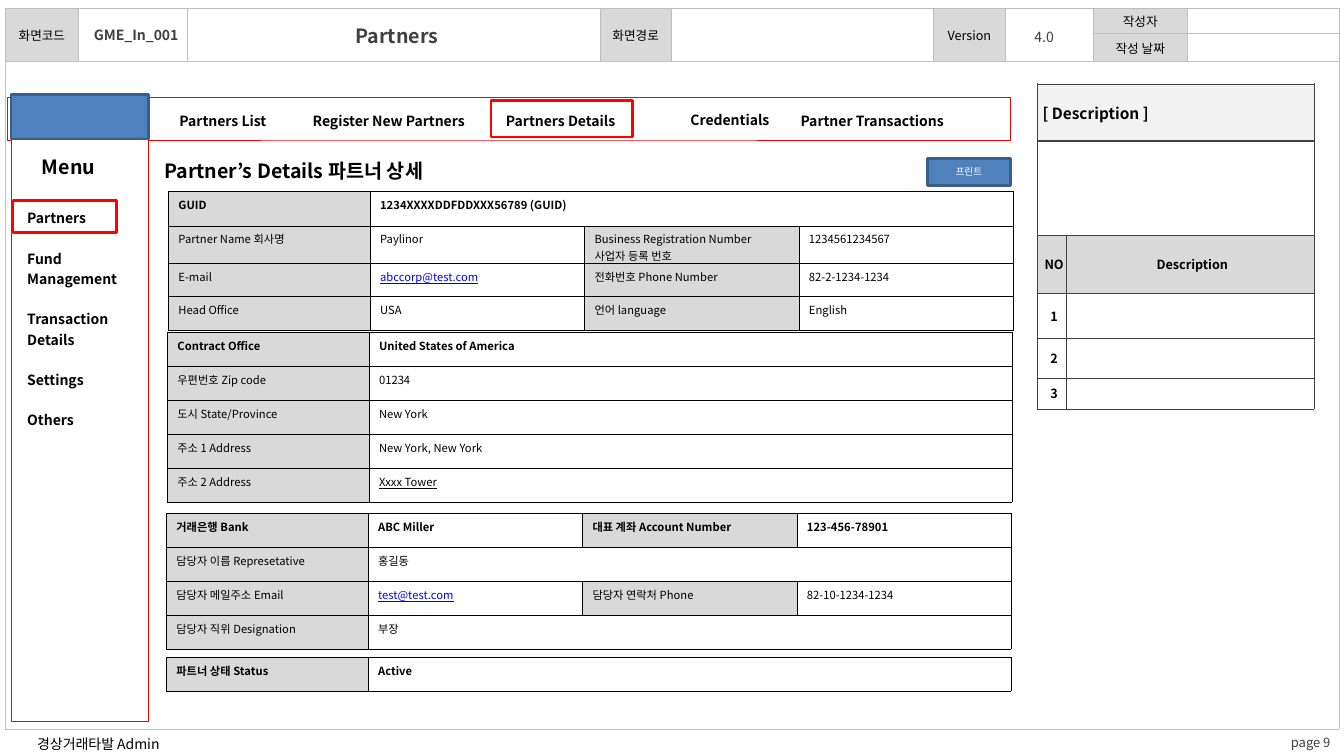
from dataclasses import dataclass, field
from typing import Any, Optional

from lxml import etree
from pptx import Presentation
from pptx.dml.color import RGBColor
from pptx.enum.shapes import MSO_SHAPE
from pptx.enum.text import MSO_ANCHOR, PP_ALIGN
from pptx.oxml.ns import qn
from pptx.util import Inches, Pt

RECT = MSO_SHAPE.RECTANGLE
TOP, MID = MSO_ANCHOR.TOP, MSO_ANCHOR.MIDDLE
LEFT, CENTER = PP_ALIGN.LEFT, PP_ALIGN.CENTER
UNIT = Inches(0.1)  # one grid step: the slide is 133.3 columns by 75 rows
Box = tuple[float, float, float, float]


@dataclass(frozen=True)
class Theme:
    font: str = "Noto Sans CJK KR"
    black: str = "000000"
    dark: str = "404040"
    white: str = "FFFFFF"
    gray: str = "D9D9D9"
    pale: str = "F2F2F2"
    rule: str = "BFBFBF"
    red: str = "FF0000"
    blue: str = "4F81BD"
    navy: str = "3A5F8C"
    link: str = "0000FF"
    tiny: float = 7
    small: float = 8
    label: float = 9
    page: float = 9.3
    body: float = 10
    head: float = 11
    title: float = 14
    thin: float = 0.25
    edge: float = 1
    thick: float = 2


T = Theme()
PAD: Box = (1, 0.5, 1, 0.5)
TIGHT: Box = (0.1, 0.1, 0.1, 0)
SIDE: Box = (0.5, 0, 0, 0)
FLUSH: Box = (0, 0.5, 1, 0.5)
DETAIL: Box = (1, 0.5, 1, 0)


@dataclass
class Cell:
    text: str = ""
    fill: Optional[str] = None
    span: tuple[int, int] = (1, 1)
    pad: Box = PAD
    anchor: Any = TOP
    style: dict[str, Any] = field(default_factory=dict)


@dataclass
class Grid:
    at: tuple[float, float]
    cols: list[float]
    rows: list[float]
    cells: list[list[Optional[Cell]]]
    line: Optional[str] = None
    heavy: tuple[int, ...] = ()  # row edges drawn with the wider line


@dataclass
class Panel:
    box: Box
    fill: Optional[str] = None
    line: str = T.red
    width: float = T.thick
    text: str = ""


@dataclass
class Label:
    box: Box
    text: str
    style: dict[str, Any]
    pad: Box = PAD
    anchor: Any = TOP
    wrap: bool = True


def grid(*steps: float) -> list[int]:
    return [round(step * UNIT) for step in steps]


def write(frame: Any, text: str, *, size: float = T.small, color: str = T.black, bold: bool = False,
          under: bool = False, align: Any = LEFT, gap: float = 0) -> None:
    """Fill a frame: a newline starts a paragraph, a vertical tab a line."""
    for i, part in enumerate(text.split("\n")):
        para = frame.add_paragraph() if i else frame.paragraphs[0]
        para.alignment = align
        if i and gap:
            para.space_before = Pt(gap)
        if not part:
            etree.SubElement(para._p, qn("a:endParaRPr"), sz=str(int(size * 100)))
            continue
        for j, row in enumerate(part.split("\v")):
            if j:
                para.add_line_break()
            run = para.add_run()
            run.text = row
            font = run.font
            font.size, font.bold, font.underline = Pt(size), bold, under
            font.color.rgb = RGBColor.from_string(color)
            font.name = T.font
            etree.SubElement(run._r.get_or_add_rPr(), qn("a:ea"), typeface=T.font)


def paint(fill: Any, color: Optional[str]) -> None:
    if color:
        fill.solid()
        fill.fore_color.rgb = RGBColor.from_string(color)
    else:
        fill.background()


def border(cell: Any, color: Optional[str], top: float, base: float) -> None:
    props = cell._tc.get_or_add_tcPr()
    for i, (side, width) in enumerate(zip("LRTB", (T.thin, T.thin, top, base))):
        line = etree.Element(qn(f"a:ln{side}"), w=str(int(Pt(width))))
        if color:
            solid = etree.SubElement(line, qn("a:solidFill"))
            etree.SubElement(solid, qn("a:srgbClr"), val=color)
        else:
            etree.SubElement(line, qn("a:noFill"))
        props.insert(i, line)


def draw_grid(slide: Any, item: Grid) -> None:
    box = grid(*item.at, sum(item.cols), sum(item.rows))
    table = slide.shapes.add_table(len(item.rows), len(item.cols), *box).table
    table.first_row = table.horz_banding = False
    for col, size in zip(table.columns, grid(*item.cols)):
        col.width = size
    for row, size in zip(table.rows, grid(*item.rows)):
        row.height = size
    for r, row in enumerate(item.cells):
        top, base = (T.edge if n in item.heavy else T.thin for n in (r, r + 1))
        for c, data in enumerate(row):
            cell = table.cell(r, c)
            paint(cell.fill, data.fill if data else None)
            border(cell, item.line, top, base)
            if data is None:
                continue
            if data.span != (1, 1):
                cell.merge(table.cell(r + data.span[0] - 1, c + data.span[1] - 1))
            cell.margin_left, cell.margin_top, cell.margin_right, cell.margin_bottom = grid(*data.pad)
            cell.vertical_anchor = data.anchor
            write(cell.text_frame, data.text, **data.style)


def draw_panel(slide: Any, item: Panel) -> None:
    shape = slide.shapes.add_shape(RECT, *grid(*item.box))
    shape.shadow.inherit = False
    paint(shape.fill, item.fill)
    paint(shape.line.fill, item.line)
    shape.line.width = Pt(item.width)
    if item.text:
        shape.text_frame.vertical_anchor = MID
        write(shape.text_frame, item.text, size=T.tiny, color=T.white, align=CENTER)


def draw_label(slide: Any, item: Label) -> None:
    frame = slide.shapes.add_textbox(*grid(*item.box)).text_frame
    frame.word_wrap, frame.vertical_anchor = item.wrap, item.anchor
    frame.margin_left, frame.margin_top, frame.margin_right, frame.margin_bottom = grid(*item.pad)
    write(frame, item.text, **item.style)


def detail(at: tuple[float, float], rows: list[float], cols: list[float], texts: list[list[str]]) -> Grid:
    """Label and value pairs; a lone pair spreads its value over the row."""
    cells: list[list[Optional[Cell]]] = []
    for r, row in enumerate(texts):
        line: list[Optional[Cell]] = []
        for c, text in enumerate(row):
            mail = "@" in text
            style = dict(bold=r == 0, under=mail or text == "Xxxx Tower", color=T.link if mail else T.black)
            wide = len(cols) - c if c == len(row) - 1 else 1
            line.append(Cell(text, T.white if c % 2 else T.gray, (1, wide), DETAIL, style=style))
        cells.append(line + [None] * (len(cols) - len(row)))
    return Grid(at, cols, rows, cells, T.black)


def tag(text: str = "", rows: int = 1) -> Cell:
    style = dict(size=T.label, align=CENTER)
    return Cell(text, T.gray if text else None, (rows, 1), TIGHT, MID, style)


def note(text: str = "", fill: Optional[str] = None, wide: int = 1, **style: Any) -> Cell:
    return Cell(text, fill, (1, wide), SIDE, MID, dict(size=T.label, bold=True, align=CENTER) | style)


FOUR, TWO = [20, 21.27, 21.27, 21.27], [20, 63.8]
STRONG = dict(size=T.body, bold=True)
NAV = STRONG | dict(align=CENTER)
TITLE = dict(size=T.title, bold=True)
GREY = dict(color=T.dark, align=CENTER)
MENU = "Partners\nFund Management\nTransaction Details\nSettings\nOthers"

ITEMS: list[Grid | Panel | Label] = [
    Label((126.7, 72.3, 6.6, 2.6), "page 9", GREY | dict(size=T.page), anchor=MID, wrap=False),
    Grid((0.5, 0.8), [7.3, 10.8, 40.9, 7.1, 26, 7.1, 8.7, 9.4, 15], [2.5, 2.8, 66.2], [
        [tag("화면코드", 2), tag(rows=2), tag(rows=2), tag("화면경로", 2), tag(rows=2),
         tag("Version", 2), tag(rows=2), tag("작성자"), tag()],
        [None] * 7 + [tag("작성 날짜"), tag()],
        [Cell(span=(1, 9))] + [None] * 8], T.rule),
    Label((2.7, 72.5, 40, 2.5), "경상거래타발 Admin", dict(size=T.body), anchor=MID, wrap=False),
    Grid((102.9, 8.3), [2.8, 24.6], [5.7, 9.4, 5.7, 4.5, 3.9, 3.1], [
        [note("[ Description ]", T.pale, 2, size=T.head, align=LEFT), None],
        [note(fill=T.white, wide=2), None],
        [note("NO", T.gray), note("Description", T.gray)],
        *([note(str(n)), note()] for n in range(1, 4))], T.dark, (1, 2)),
    Label((15.3, 15.3, 29.2, 3.4), "Partner’s Details 파트너 상세", TITLE, wrap=False),
    detail((16.7, 19), [3.4, 3.7, 3.3, 3.4], FOUR, [
        ["GUID", "1234XXXXDDFDDXXX56789 (GUID)"],
        ["Partner Name 회사명", "Paylinor", "Business Registration Number\v사업자 등록 번호", "1234561234567"],
        ["E-mail", "abccorp@test.com", "전화번호 Phone Number", "82-2-1234-1234"],
        ["Head Office", "USA", "언어 language", "English"]]),
    Panel((92, 15.7, 8.2, 2.7), T.blue, T.navy, text="프린트"),
    detail((16.5, 50.9), [3.38] * 4, FOUR, [
        ["거래은행 Bank", "ABC Miller", "대표 계좌 Account Number", "123-456-78901"],
        ["담당자 이름 Represetative", "홍길동"],
        ["담당자 메일주소 Email", "test@test.com", "담당자 연락처 Phone", "82-10-1234-1234"],
        ["담당자 직위 Designation", "부장"]]),
    Panel((0.7, 9.6, 99.5, 4.3), T.white, width=T.thin),
    Panel((1.1, 9.6, 13.6, 62), T.white, width=T.thin),
    detail((16.6, 33), [3.36] * 5, TWO, [
        ["Contract Office", "United States of America"],
        ["우편번호 Zip code", "01234"],
        ["도시 State/Province", "New York"],
        ["주소 1 Address", "New York, New York"],
        ["주소 2 Address", "Xxxx Tower"]]),
    detail((16.5, 65.2), [3.36], TWO, [["파트너 상태 Status", "Active"]]),
    Panel((1.1, 9.4, 13.6, 4.4), T.blue, T.navy),
    Label((7.8, 2.1, 12.4, 2.7), "GME_In_001", GREY | STRONG, FLUSH),
    Label((100.5, 2.3, 7.1, 2.7), "4.0", GREY | dict(size=T.body), FLUSH),
    Grid((1.7, 17.5), [11.2], [2.6, 24.4], [
        [Cell(fill=T.white)], [Cell(MENU, T.white, style=STRONG | dict(gap=14.5))]]),
    Panel((1.3, 19.9, 10.3, 3.2)),
    Grid((15.2, 10.2), [13.8, 19.1, 15, 34.6], [3.6], [
        [Cell(text, T.white, anchor=MID, style=NAV)
         for text in ("Partners List", "Register New Partners", "Partners Details")]
        + [Cell("Partner Transactions", T.white, pad=(16.3, 0.5, 1, 0.5), anchor=MID, style=STRONG)]]),
    Panel((48.7, 10, 14, 3.6)),
    Label((19.4, 1.9, 40.9, 3.4), "Partners", GREY | TITLE, FLUSH),
    Label((3.1, 14.9, 7.4, 3.4), "Menu", TITLE | dict(align=CENTER), wrap=False),
    Label((67.5, 10.6, 14, 2.7), "Credentials", STRONG),
]


def main() -> None:
    deck = Presentation()
    deck.slide_width, deck.slide_height = grid(133.3, 75)
    slide = deck.slides.add_slide(deck.slide_layouts[6])
    tools = {Grid: draw_grid, Panel: draw_panel, Label: draw_label}
    for item in ITEMS:
        tools[type(item)](slide, item)
    deck.save("out.pptx")


if __name__ == "__main__":
    main()
